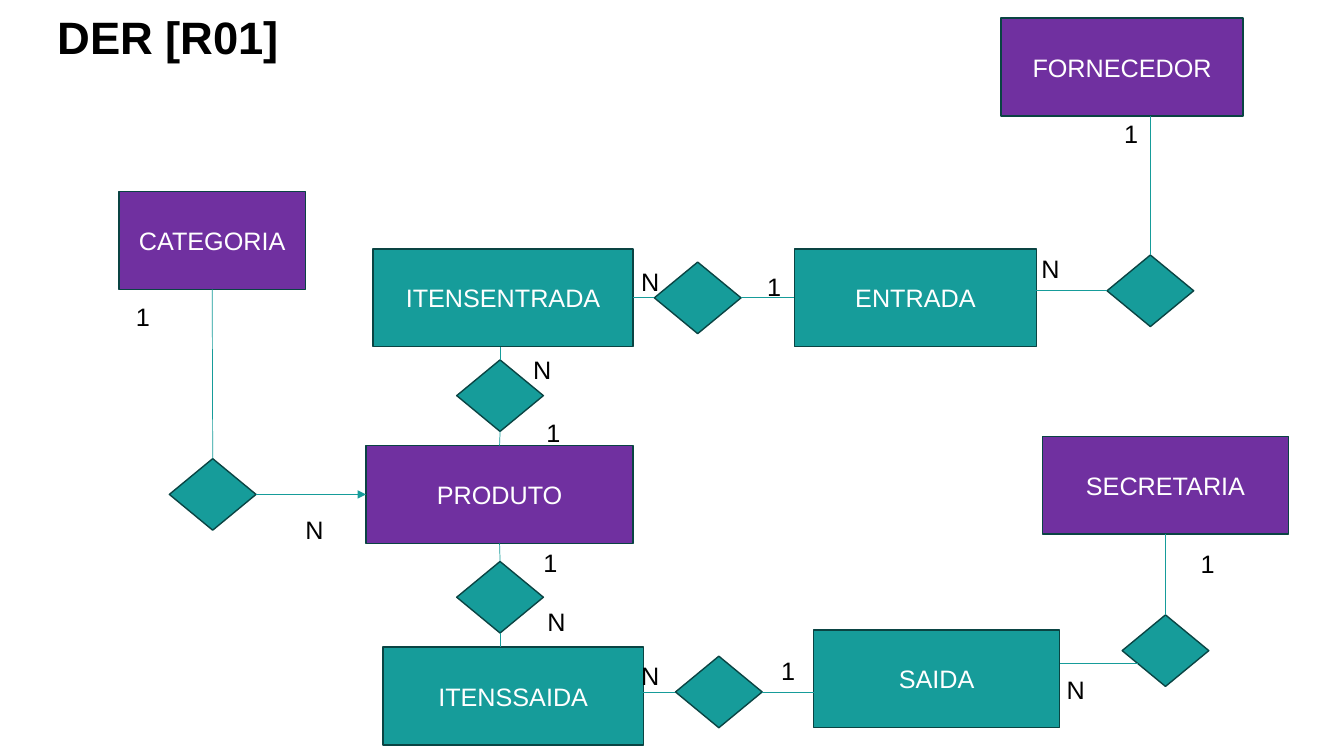
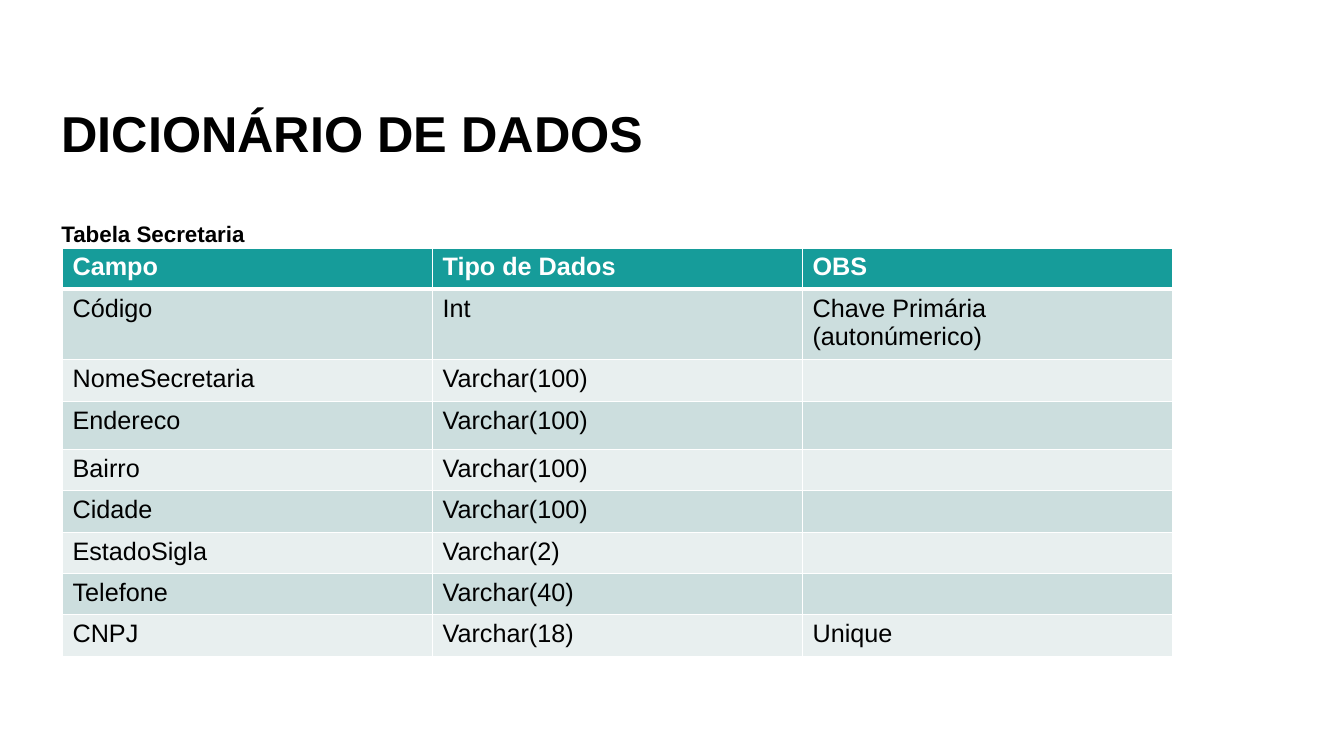
import dataclasses

import lxml.etree
import pptx
import pptx.dml.color
import pptx.enum.shapes
import pptx.enum.text
import pptx.oxml.ns
import pptx.util

Inches = pptx.util.Inches
Pt = pptx.util.Pt
ANCHOR = pptx.enum.text.MSO_ANCHOR
ALIGN = pptx.enum.text.PP_ALIGN
SHAPE = pptx.enum.shapes.MSO_SHAPE

FONT = "Arial"
COLORS = {
    "teal": "169C9A", "purple": "7030A0", "outline": "0A4443",
    "black": "000000", "white": "FFFFFF",
    "band_dark": "CCDEDE", "band_light": "E8EFEF",
}
TOP, LEFT, BOTTOM, RIGHT = range(4)
ENTITY_HEIGHT = 0.97
DIAMOND_WIDTH, DIAMOND_HEIGHT = 0.86, 0.71


@dataclasses.dataclass
class End:
    """One leg of a relation: entity, diamond side it leaves, cardinality."""
    entity: str
    side: int
    label: str
    label_left: float
    label_top: float
    drop: float = 0
    arrow: bool = False


# Name: left, top, width, colour (inches inside the diagram box)
ENTITIES = {
    "CATEGORIA": (0, 1.72, 1.85, "purple"),
    "FORNECEDOR": (8.75, 0, 2.4, "purple"),
    "ITENSENTRADA": (2.52, 2.29, 2.58, "teal"),
    "ENTRADA": (6.7, 2.29, 2.4, "teal"),
    "PRODUTO": (2.45, 4.24, 2.65, "purple"),
    "SECRETARIA": (9.16, 4.15, 2.44, "purple"),
    "ITENSSAIDA": (2.62, 6.24, 2.58, "teal"),
    "SAIDA": (6.89, 6.07, 2.44, "teal"),
}

# Diamond left and top, then its two ends
RELATIONS = [
    (0.5, 4.37, End("CATEGORIA", TOP, "1", 0.07, 2.76),
     End("PRODUTO", RIGHT, "N", 1.75, 4.87, arrow=True)),
    (3.35, 3.39, End("ITENSENTRADA", TOP, "N", 4.01, 3.29),
     End("PRODUTO", BOTTOM, "1", 4.14, 3.91)),
    (3.35, 5.39, End("PRODUTO", TOP, "1", 4.11, 5.2),
     End("ITENSSAIDA", BOTTOM, "N", 4.15, 5.79)),
    (5.31, 2.42, End("ITENSENTRADA", LEFT, "N", 5.08, 2.41),
     End("ENTRADA", RIGHT, "1", 6.33, 2.46)),
    (5.52, 6.33, End("ITENSSAIDA", LEFT, "N", 5.08, 6.32),
     End("SAIDA", RIGHT, "1", 6.47, 6.27)),
    (9.8, 2.35, End("FORNECEDOR", TOP, "1", 9.87, 0.94),
     End("ENTRADA", LEFT, "N", 9.05, 2.28)),
    (9.95, 5.92, End("SECRETARIA", TOP, "1", 10.63, 5.21),
     End("SAIDA", LEFT, "N", 9.3, 6.46, drop=0.13)),
]

FIELDS = [
    ("Campo", "Tipo de Dados", "OBS"),
    ("Código", "Int", "Chave Primária (autonúmerico)"),
    ("NomeSecretaria", "Varchar(100)", ""),
    ("Endereco", "Varchar(100)", ""),
    ("Bairro", "Varchar(100)", ""),
    ("Cidade", "Varchar(100)", ""),
    ("EstadoSigla", "Varchar(2)", ""),
    ("Telefone", "Varchar(40)", ""),
    ("CNPJ", "Varchar(18)", "Unique"),
]


def rgb(name):
    return pptx.dml.color.RGBColor.from_string(COLORS[name])


def add_span(para, text, size=18, color="black", bold=False):
    span = para.add_run()
    span.text = text
    span.font.name = FONT
    span.font.size = Pt(size)
    span.font.bold = bold
    span.font.color.rgb = rgb(color)


def add_text(page, box, text, size=18, bold=False, anchor=ANCHOR.TOP, spacing=1.0):
    frame = page.shapes.add_textbox(*map(Inches, box)).text_frame
    frame.word_wrap = True
    frame.vertical_anchor = anchor
    frame.paragraphs[0].line_spacing = spacing
    add_span(frame.paragraphs[0], text, size, bold=bold)


def add_title(page, box, text, size):
    add_text(page, box, text, size, True, ANCHOR.BOTTOM, 0.9)


def add_figure(page, kind, box, color, text=""):
    figure = page.shapes.add_shape(kind, *map(Inches, box))
    figure.shadow.inherit = False
    figure.fill.solid()
    figure.fill.fore_color.rgb = rgb(color)
    figure.line.color.rgb = rgb("outline")
    figure.line.width = Pt(1)
    if text:
        figure.text_frame.vertical_anchor = ANCHOR.MIDDLE
        para = figure.text_frame.paragraphs[0]
        para.alignment = ALIGN.CENTER
        add_span(para, text, color="white")
    return figure


def side_middle(figure, side):
    x = {LEFT: 0, RIGHT: figure.width}.get(side, figure.width // 2)
    y = {TOP: 0, BOTTOM: figure.height}.get(side, figure.height // 2)
    return figure.left + x, figure.top + y


def add_leg(page, diamond, entity, end):
    """Straight line from a diamond to the facing side of an entity."""
    facing = (end.side + 2) % 4
    start_x, start_y = side_middle(diamond, end.side)
    middle_x, middle_y = side_middle(entity, facing)
    if end.drop:
        # Follow the diamond's lower left edge down from its corner
        start_x += Inches(end.drop * DIAMOND_WIDTH / DIAMOND_HEIGHT)
        start_y += Inches(end.drop)
    if end.side in (TOP, BOTTOM):
        stop_x, stop_y = start_x, middle_y
    else:
        stop_x, stop_y = middle_x, start_y
    leg = page.shapes.add_connector(
        pptx.enum.shapes.MSO_CONNECTOR.STRAIGHT, start_x, start_y, stop_x, stop_y)
    if not end.drop:
        leg.begin_connect(diamond, end.side)
    if abs(stop_x - middle_x) + abs(stop_y - middle_y) <= Inches(0.01):
        leg.end_connect(entity, facing)
    leg.line.color.rgb = rgb("teal")
    leg.line.width = Pt(0.5)
    if end.arrow:
        lxml.etree.SubElement(
            leg.line._get_or_add_ln(), pptx.oxml.ns.qn("a:tailEnd"), type="triangle")
    lxml.etree.SubElement(leg._element.spPr, pptx.oxml.ns.qn("a:effectLst"))


def draw_diagram(page, left, top):
    # Entities
    entities = {
        name: add_figure(page, SHAPE.RECTANGLE,
                         (left + x, top + y, width, ENTITY_HEIGHT), color, name)
        for name, (x, y, width, color) in ENTITIES.items()
    }
    # Relations with their lines and cardinalities
    for x, y, *ends in RELATIONS:
        diamond = add_figure(page, SHAPE.DIAMOND,
                             (left + x, top + y, DIAMOND_WIDTH, DIAMOND_HEIGHT), "teal")
        for end in ends:
            add_leg(page, diamond, entities[end.entity], end)
            add_text(page, (left + end.label_left, top + end.label_top, 0.45, 0.4),
                     end.label)


def style_cell(cell, text, fill, color, bold, bottom_width):
    properties = cell._tc.get_or_add_tcPr()
    for edge, width in (("L", 1), ("R", 1), ("T", 1), ("B", bottom_width)):
        line = lxml.etree.SubElement(
            properties, pptx.oxml.ns.qn("a:ln" + edge), w=str(Pt(width)))
        paint = lxml.etree.SubElement(line, pptx.oxml.ns.qn("a:solidFill"))
        lxml.etree.SubElement(
            paint, pptx.oxml.ns.qn("a:srgbClr"), val=COLORS["white"])
    cell.fill.solid()
    cell.fill.fore_color.rgb = rgb(fill)
    cell.margin_right = Inches(0.15)
    if text:
        add_span(cell.text_frame.paragraphs[0], text, color=color, bold=bold)


def draw_dictionary(page, left, top, width):
    heights = [0.41] * len(FIELDS)
    heights[1], heights[3] = 0.65, 0.48
    table = page.shapes.add_table(
        len(FIELDS), len(FIELDS[0]),
        *map(Inches, (left, top, width, sum(heights)))).table
    for row_index, (values, height) in enumerate(zip(FIELDS, heights)):
        table.rows[row_index].height = Inches(height)
        if row_index == 0:
            style = ("teal", "white", True, 3)
        else:
            band = "band_dark" if row_index % 2 else "band_light"
            style = (band, "black", False, 1)
        for column_index, text in enumerate(values):
            style_cell(table.cell(row_index, column_index), text, *style)


def main():
    deck = pptx.Presentation()
    deck.slide_width, deck.slide_height = Inches(13.33), Inches(7.5)
    blank = deck.slide_layouts[6]

    # Entity-relationship diagram
    page = deck.slides.add_slide(blank)
    add_title(page, (0.47, 0.18, 8, 0.51), "DER [R01]", 32.4)
    draw_diagram(page, 1.18, 0.18)

    # Data dictionary
    page = deck.slides.add_slide(blank)
    add_title(page, (0.51, 0, 11.5, 1.67), "DICIONÁRIO DE DADOS", 36)
    draw_dictionary(page, 0.62, 2.46, 11.01)
    add_title(page, (0.51, 0.83, 11.5, 1.67), "Tabela Secretaria", 16)

    deck.save("out.pptx")


if __name__ == "__main__":
    main()
